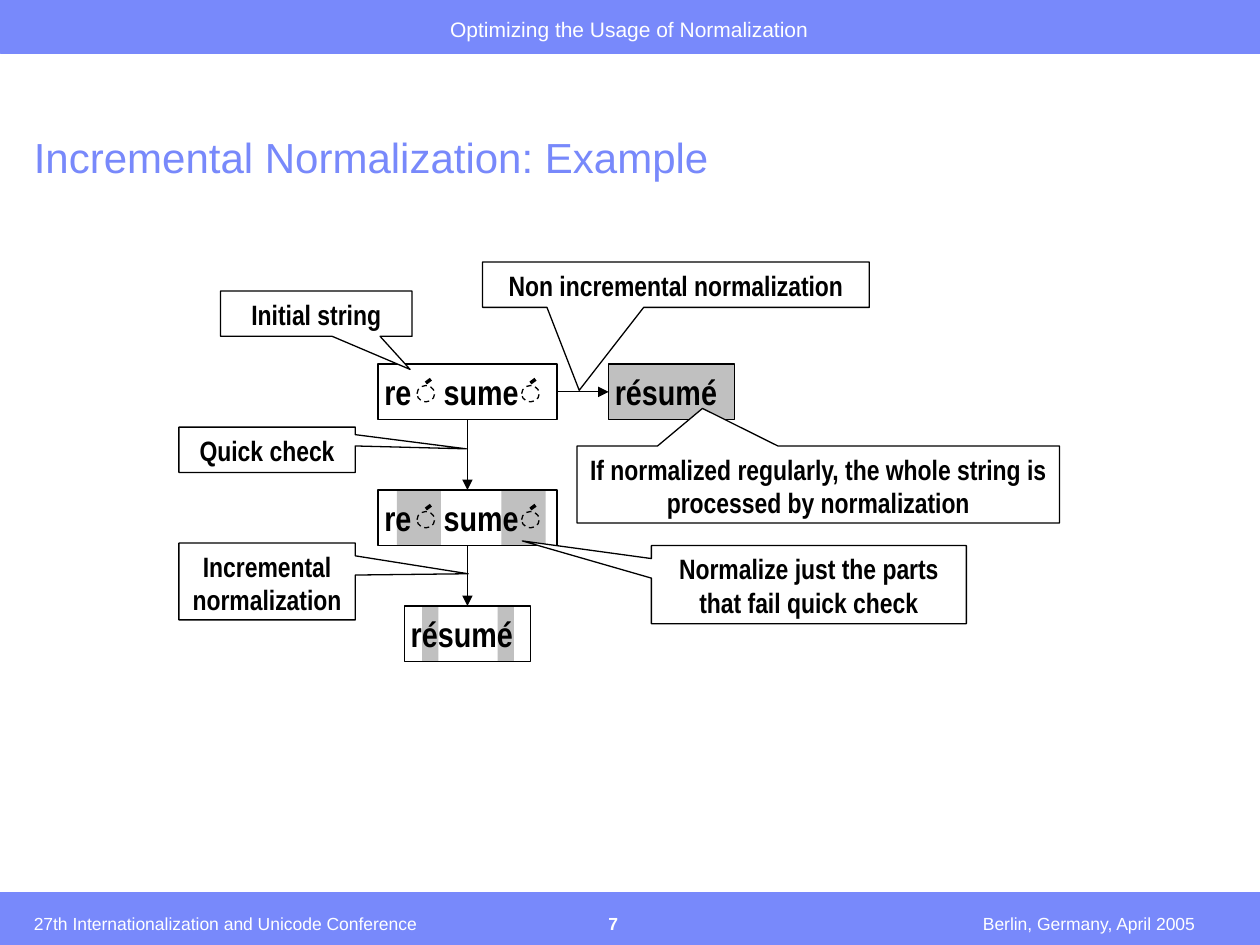
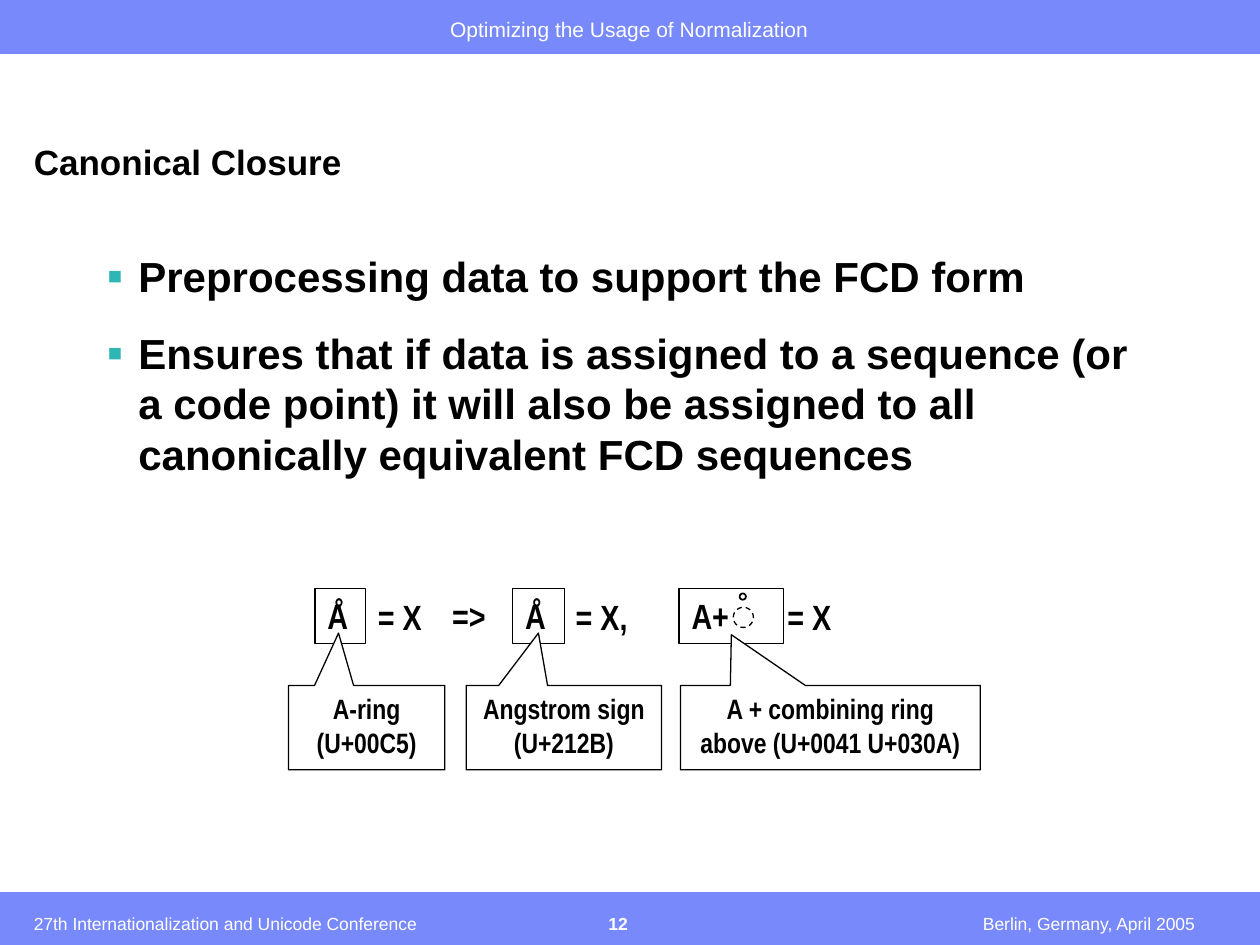
from lxml import etree
from pptx import Presentation
from pptx.dml.color import RGBColor
from pptx.enum.dml import MSO_LINE
from pptx.enum.shapes import MSO_CONNECTOR, MSO_SHAPE
from pptx.enum.text import MSO_ANCHOR, PP_ALIGN
from pptx.oxml.ns import qn
from pptx.util import Inches, Pt

BLUE, TEAL, GRAY = "7889FB", "2DB6B3", "C0C0C0"
BLACK, WHITE = "000000", "FFFFFF"
NARROW = "Arial Narrow"


def add_box(slide, place, text="", size=20, face=NARROW, bold=True, color=BLACK, fill=None,
            line=BLACK, weight=0.75, geometry=MSO_SHAPE.RECTANGLE, inset=0.1,
            align=PP_ALIGN.LEFT, anchor=MSO_ANCHOR.TOP):
    left, top, width, height = [Inches(value) for value in place]
    if geometry is None:
        box = slide.shapes.add_textbox(left, top, width, height)
    else:
        box = slide.shapes.add_shape(geometry, left, top, width, height)
        box.shadow.inherit = False
        if fill:
            box.fill.solid()
            box.fill.fore_color.rgb = RGBColor.from_string(fill)
        else:
            box.fill.background()
        if line:
            box.line.color.rgb = RGBColor.from_string(line)
            box.line.width = Pt(weight)
        else:
            box.line.fill.background()
    if text:
        frame = box.text_frame
        frame.text = text
        frame.word_wrap = True
        frame.vertical_anchor = anchor
        frame.margin_left = frame.margin_right = Inches(inset)
        frame.margin_top = frame.margin_bottom = Inches(0.05)
        for paragraph in frame.paragraphs:
            paragraph.alignment = align
            for run in paragraph.runs:
                run.font.size = Pt(size)
                run.font.name = face
                run.font.bold = bold
                run.font.color.rgb = RGBColor.from_string(color)
    return box


def add_line(slide, start, end, weight=0.75, arrow=False):
    line = slide.shapes.add_connector(
        MSO_CONNECTOR.STRAIGHT, *[Inches(value) for value in (*start, *end)])
    line.line.color.rgb = RGBColor.from_string(BLACK)
    line.line.width = Pt(weight)
    if arrow:
        etree.SubElement(line.line._get_or_add_ln(), qn("a:tailEnd"), type="triangle")
    etree.SubElement(line._element.spPr, qn("a:effectLst"))
    return line


prs = Presentation()
prs.slide_width = Inches(10)
prs.slide_height = Inches(7.5)

slides = []
for number, title, title_size, title_bold, title_color in [
    ("7", "Incremental Normalization: Example", 24, False, BLUE),
    ("12", "Canonical Closure", 20, True, BLACK),
]:
    slide = prs.slides.add_slide(prs.slide_layouts[6])
    slides.append(slide)
    for band_top in (0, 7.08):
        add_box(slide, (0, band_top, 10, 0.42), fill=BLUE, line=BLUE, weight=0.25)
    add_box(slide, (2.91, 0.08, 4.17, 0.27), "Optimizing the Usage of Normalization", 12,
            "Arial", False, WHITE, geometry=None, align=PP_ALIGN.CENTER)
    heading = add_box(slide, (0.17, 0.95, 9.02, 0.55), title, title_size, "Arial", title_bold,
                      title_color, geometry=None, anchor=MSO_ANCHOR.BOTTOM)
    heading.text_frame.paragraphs[0].line_spacing = 0.9
    for place, footer, bold, align in [
        ((0.17, 7.08, 4.17, 0.38), "27th Internationalization and Unicode Conference",
         False, PP_ALIGN.LEFT),
        ((4.73, 7.11, 1.1, 0.35), number, True, PP_ALIGN.LEFT),
        ((6.83, 7.11, 2.75, 0.35), "Berlin, Germany, April 2005", False, PP_ALIGN.RIGHT),
    ]:
        add_box(slide, place, footer, 10, "Arial", bold, WHITE, geometry=None,
                align=align, anchor=MSO_ANCHOR.BOTTOM)

example, closure = slides

for left, top, width in [(3.98, 3.89, 0.35), (3.15, 3.89, 0.35),
                         (3.95, 4.81, 0.13), (3.35, 4.81, 0.13)]:
    add_box(example, (left, top, width, 0.44), fill=GRAY, line=None)

decomposed = []
for top in (2.89, 3.89):
    string = add_box(example, (3, top, 1.42, 0.44), "re\tsume", inset=0.05)
    tabs = etree.SubElement(string.text_frame.paragraphs[0]._p.get_or_add_pPr(), qn("a:tabLst"))
    etree.SubElement(tabs, qn("a:tab"), pos=str(Inches(0.47)), algn="l")
    decomposed.append(string)
    for left in (3.31, 4.14):
        base = add_box(example, (left, top + 0.17, 0.14, 0.13), geometry=MSO_SHAPE.OVAL)
        base.line.dash_style = MSO_LINE.DASH
        add_line(example, (left + 0.07, top + 0.15), (left + 0.11, top + 0.12), 2)

initial, checked = decomposed
regular = add_box(example, (4.83, 2.89, 1, 0.44), "résumé", fill=GRAY, inset=0.05)
incremental = add_box(example, (3.21, 4.81, 1, 0.44), "résumé", inset=0.05)

for source, source_side, target, target_side, start, end in [
    (initial, 3, regular, 1, (4.42, 3.11), (4.83, 3.11)),
    (initial, 2, checked, 0, (3.71, 3.33), (3.71, 3.89)),
    (checked, 2, incremental, 0, (3.71, 4.33), (3.71, 4.81)),
]:
    step = add_line(example, start, end, arrow=True)
    step.begin_connect(source, source_side)
    step.end_connect(target, target_side)

body = add_box(
    closure, (0.75, 1.94, 8.5, 2.57),
    "Preprocessing data to support the FCD form\n"
    "Ensures that if data is assigned to a sequence (or a code point) it will also be "
    "assigned to all canonically equivalent FCD sequences",
    24, "Arial", geometry=None)
for index, point in enumerate(body.text_frame.paragraphs):
    point.space_before = Pt(10.5 if index else 0)
    point.space_after = Pt(4.5)
    properties = point._p.get_or_add_pPr()
    properties.set("marL", str(Inches(0.25)))
    properties.set("indent", str(Inches(-0.25)))
    bullet_color = etree.SubElement(properties, qn("a:buClr"))
    etree.SubElement(bullet_color, qn("a:srgbClr"), val=TEAL)
    etree.SubElement(properties, qn("a:buSzPct"), val="110000")
    etree.SubElement(properties, qn("a:buFont"), typeface="Arial")
    etree.SubElement(properties, qn("a:buChar"), char="▪")

for left, width, character in [(2.5, 0.4, "Å"), (4.07, 0.41, "Å"), (5.39, 0.83, "A+")]:
    add_box(closure, (left, 4.67, width, 0.44), character)
for left, top, width, term in [(2.9, 4.68, 0.6, "= X"), (3.49, 4.67, 0.6, "=>"),
                               (4.47, 4.68, 0.93, "= X,"), (6.15, 4.68, 0.6, "= X")]:
    add_box(closure, (left, top, width, 0.44), term, geometry=None)
ring_base = add_box(closure, (5.82, 4.82, 0.16, 0.16), geometry=MSO_SHAPE.OVAL)
ring_base.line.dash_style = MSO_LINE.DASH
add_box(closure, (5.87, 4.71, 0.05, 0.05), weight=1, geometry=MSO_SHAPE.OVAL)

for slide, place, tip, note in [
    (example, (1.75, 2.31, 1.52, 0.36), (0.49, 1.23), "Initial string"),
    (example, (5.17, 4.33, 2.5, 0.62), (-0.91, -0.56),
     "Normalize just the parts that fail quick check"),
    (example, (3.83, 2.08, 3.07, 0.36), (-0.25, 2.33), "Non incremental normalization"),
    (example, (1.42, 3.39, 1.4, 0.36), (1.13, -0.02), "Quick check"),
    (example, (1.42, 4.31, 1.4, 0.61), (1.14, -0.1), "Incremental normalization"),
    (example, (4.58, 3.54, 3.83, 0.61), (-0.24, -0.99),
     "If normalized regularly, the whole string is processed by normalization"),
    (closure, (2.29, 5.44, 1.24, 0.67), (-0.18, -1.12), "A-ring (U+00C5)"),
    (closure, (3.7, 5.44, 1.55, 0.67), (-0.13, -1.12), "Angstrom sign (U+212B)"),
    (closure, (5.4, 5.44, 2.38, 0.67), (-0.33, -1.1),
     "A + combining ring above (U+0041 U+030A)"),
]:
    callout = add_box(slide, place, note, 16, fill=WHITE,
                      geometry=MSO_SHAPE.RECTANGULAR_CALLOUT, align=PP_ALIGN.CENTER)
    callout.adjustments[0], callout.adjustments[1] = tip

prs.save("out.pptx")
